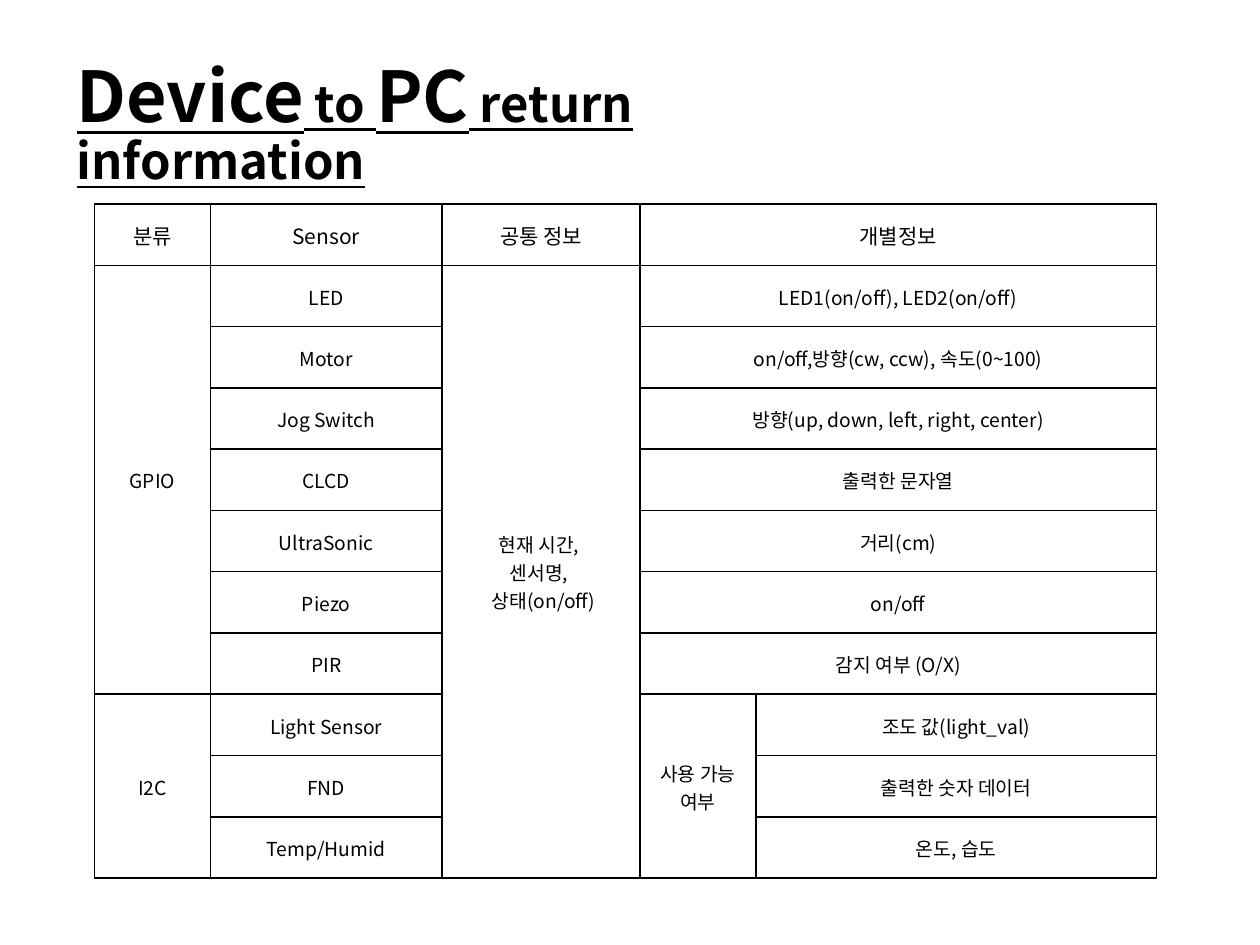
from copy import deepcopy
from dataclasses import dataclass

from lxml.etree import SubElement
from pptx import Presentation
from pptx.dml.color import RGBColor
from pptx.enum.text import MSO_ANCHOR as Anchor, MSO_AUTO_SIZE as AutoSize, PP_ALIGN as Align
from pptx.oxml.ns import qn
from pptx.table import _Cell as Cell
from pptx.util import Inches, Pt

FONT = "Noto Sans CJK KR"
BLACK = "000000"


@dataclass
class Entry:
    row: int
    column: int
    text: str
    row_span: int = 1
    column_span: int = 1
    size: int = 11


def color(value: str) -> RGBColor:
    return RGBColor.from_string(value)


def format_run(run, size: float, **extra) -> None:
    values = {"name": FONT, "size": Pt(size), **extra}
    for name, value in values.items():
        setattr(run.font, name, value)
    run.font.color.rgb = color(BLACK)
    properties = run._r.get_or_add_rPr()
    east_asian = SubElement(properties, qn("a:ea"), typeface=FONT)
    properties.find(qn("a:latin")).addnext(east_asian)


def style_cell(cell: Cell) -> None:
    properties = cell._tc.get_or_add_tcPr()
    for side in ("lnL", "lnR", "lnT", "lnB"):
        line = SubElement(properties, qn(f"a:{side}"), w=str(Pt(1)))
        fill = SubElement(line, qn("a:solidFill"))
        SubElement(fill, qn("a:srgbClr"), val=BLACK)
    cell.fill.background()
    values = {
        "margin_left": Inches(0.01),
        "margin_right": Inches(0.01),
        "margin_top": Inches(0.01),
        "margin_bottom": 0,
        "vertical_anchor": Anchor.MIDDLE,
    }
    for name, value in values.items():
        setattr(cell, name, value)


def write_entry(table, entry: Entry) -> None:
    cell = table.cell(entry.row, entry.column)
    if entry.row_span > 1 or entry.column_span > 1:
        last_row = entry.row + entry.row_span - 1
        last_column = entry.column + entry.column_span - 1
        cell.merge(table.cell(last_row, last_column))
    paragraph = cell.text_frame.paragraphs[0]
    paragraph.text = entry.text
    paragraph.alignment = Align.CENTER
    for run in paragraph.runs:
        format_run(run, entry.size)
    # Line breaks take the text size too
    for line_break in paragraph._p.findall(qn("a:br")):
        line_break.append(deepcopy(paragraph.runs[0]._r.rPr))


presentation = Presentation()
presentation.slide_width = Inches(10)
presentation.slide_height = Inches(7.5)
slide = presentation.slides.add_slide(presentation.slide_layouts[6])

# Title
title = slide.shapes.add_textbox(Inches(0.51), Inches(0.44), Inches(6.58), Inches(0.77))
title.text_frame.word_wrap = True
title.text_frame.auto_size = AutoSize.SHAPE_TO_FIT_TEXT
heading = title.text_frame.paragraphs[0]
heading.line_spacing = 0.9
for text, size in (("Device", 40), (" to ", 28), ("PC", 40), (" return information", 28)):
    run = heading.add_run()
    run.text = text
    format_run(run, size, bold=True, underline=True)

# Table contents
gpio_sensors = [
    ("LED", "LED1(on/off), LED2(on/off)"),
    ("Motor", "on/off,방향(cw, ccw), 속도(0~100)"),
    ("Jog Switch", "방향(up, down, left, right, center)"),
    ("CLCD", "출력한 문자열"),
    ("UltraSonic", "거리(cm)"),
    ("Piezo", "on/off"),
    ("PIR", "감지 여부 (O/X)"),
]
i2c_sensors = [
    ("Light Sensor", "조도 값(light_val)"),
    ("FND", "출력한 숫자 데이터"),
    ("Temp/Humid", "온도, 습도"),
]
i2c_start = 1 + len(gpio_sensors)
row_count = i2c_start + len(i2c_sensors)

entries = [
    Entry(0, column, text, column_span=2 if column == 3 else 1, size=12)
    for column, text in enumerate(("분류", "Sensor", "공통 정보", "개별정보"))
]
entries += [
    Entry(1, 0, "GPIO", row_span=len(gpio_sensors)),
    Entry(i2c_start, 0, "I2C", row_span=len(i2c_sensors)),
    Entry(1, 2, "현재 시간, \v센서명, \v 상태(on/off)", row_span=row_count - 1),
    Entry(i2c_start, 3, "사용 가능 여부", row_span=len(i2c_sensors)),
]
for row, (sensor, details) in enumerate(gpio_sensors, start=1):
    entries += [Entry(row, 1, sensor), Entry(row, 3, details, column_span=2)]
for row, (sensor, details) in enumerate(i2c_sensors, start=i2c_start):
    entries += [Entry(row, 1, sensor), Entry(row, 4, details)]

# Table
column_widths = (0.92, 1.84, 1.57, 0.92, 3.18)
table_height = Inches(5.35)
table = slide.shapes.add_table(
    row_count, len(column_widths), Inches(0.75), Inches(1.62),
    Inches(sum(column_widths)), table_height,
).table
table.first_row = False
table.horz_banding = False
for column, width in zip(table.columns, column_widths):
    column.width = Inches(width)
for row in table.rows:
    row.height = table_height // row_count
for cell in table.iter_cells():
    style_cell(cell)
for entry in entries:
    write_entry(table, entry)

presentation.save("out.pptx")
